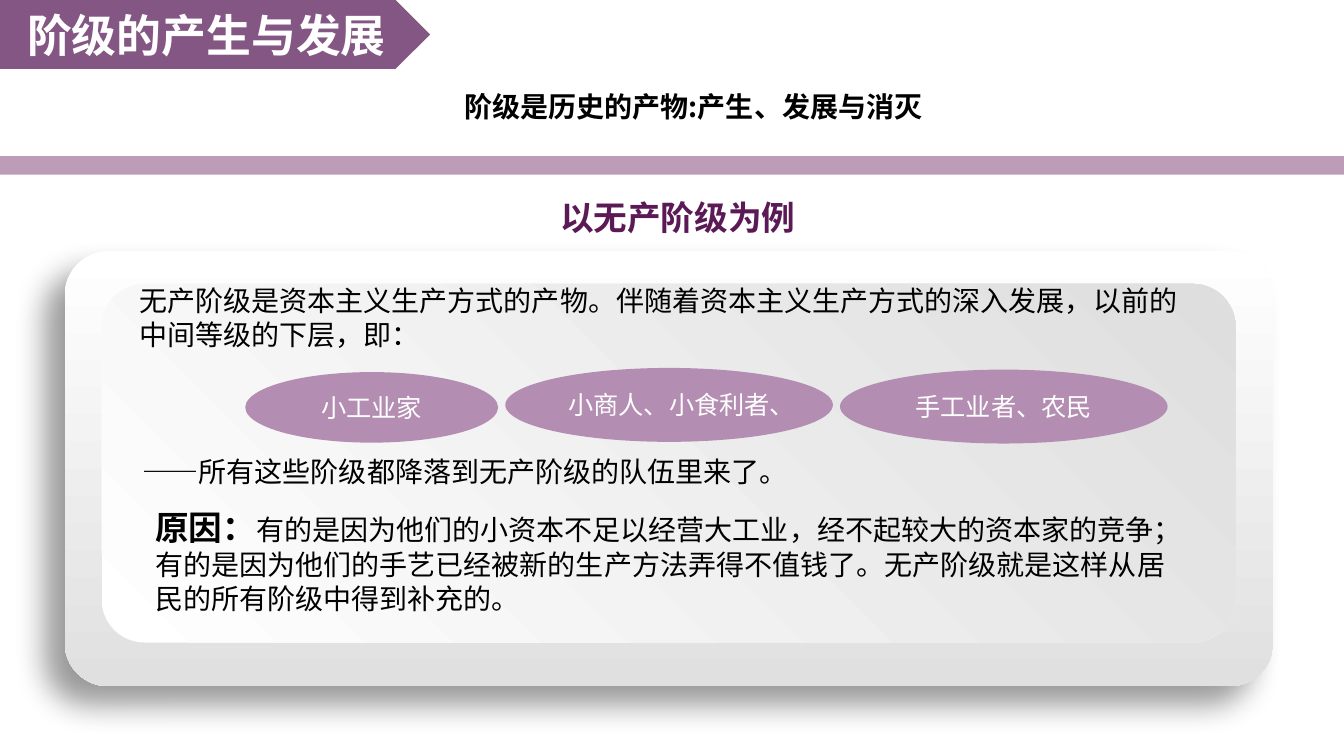
from dataclasses import dataclass

from lxml import etree
from pptx import Presentation
from pptx import util as u
from pptx.dml.color import RGBColor
from pptx.enum import shapes, text
from pptx.oxml.ns import qn


@dataclass(frozen=True)
class Theme:
    font: str = "Noto Sans CJK SC"
    ink: str = "000000"
    paper: str = "FFFFFF"
    plum: str = "5B1A56"
    banner: str = "5A1B58"
    rule: str = "6A1F5F"
    lilac: str = "B48EB2"
    outer_grey: str = "E0E0E0"
    inner_grey: str = "DDDEDD"
    title: int = 32
    heading: int = 24
    body: int = 20
    label: int = 18


class SlideBuilder:
    """Draws themed elements on one slide, placed on a grid of 160 columns by 90 rows."""

    def __init__(self, deck, theme):
        self.theme = theme
        self.slide = deck.slides.add_slide(deck.slide_layouts[5])
        self.column = deck.slide_width / 160
        self.row = deck.slide_height / 90

    def box(self, left, top, width, height):
        return [u.Emu(round(span * unit)) for span, unit in
                zip((left, top, width, height), (self.column, self.row) * 2)]

    def fill_text(self, frame, runs, align=text.PP_ALIGN.LEFT, **frame_format):
        for name, value in {"word_wrap": True, **frame_format}.items():
            setattr(frame, name, value)
        paragraph = frame.paragraphs[0]
        paragraph.alignment = align
        for words, size, color, bold in runs:
            run = paragraph.add_run()
            run.text = words
            font_format = {"name": self.theme.font, "size": u.Pt(size), "bold": bold}
            for name, value in font_format.items():
                setattr(run.font, name, value)
            run.font.color.rgb = RGBColor.from_string(color)
            etree.SubElement(run.font._element, qn("a:ea"), typeface=self.theme.font)

    def passage(self, place, *runs):
        frame = self.slide.shapes.add_textbox(*self.box(*place)).text_frame
        self.fill_text(frame, runs, auto_size=text.MSO_AUTO_SIZE.SHAPE_TO_FIT_TEXT)

    def plain(self, kind, place, parent=None):
        holder = parent or self.slide
        shape = holder.shapes.add_shape(kind, *self.box(*place))
        shape.shadow.inherit = False
        shape.line.fill.background()
        return shape

    def solid(self, kind, place, color, opacity=100):
        shape = self.plain(kind, place)
        shape.fill.solid()
        shape.fill.fore_color.rgb = RGBColor.from_string(color)
        if opacity < 100:
            tint = shape.element.spPr.find(".//" + qn("a:srgbClr"))
            etree.SubElement(tint, qn("a:alpha"), val=str(opacity * 1000))
        return shape

    def panel(self, group, place, corner, end_color, angle):
        shape = self.plain(shapes.MSO_SHAPE.ROUNDED_RECTANGLE, place, group)
        shape.adjustments[0] = corner
        shape.fill.gradient()
        shape.fill.gradient_angle = angle
        for stop, color in zip(shape.fill.gradient_stops, (self.theme.paper, end_color)):
            stop.color.rgb = RGBColor.from_string(color)
        return shape

    def cast_shadow(self, shape, blur, distance, direction, opacity):
        effects = shape.element.spPr.find(qn("a:effectLst"))
        shadow = etree.SubElement(
            effects, qn("a:outerShdw"), blurRad=str(int(u.Pt(blur))),
            dist=str(int(u.Pt(distance))), dir=str(direction * 60000),
            algn="ctr", rotWithShape="0")
        color = etree.SubElement(shadow, qn("a:srgbClr"), val=self.theme.ink)
        etree.SubElement(color, qn("a:alpha"), val=str(opacity * 1000))

    def title(self, place, words):
        heading = self.slide.shapes.title
        heading.element.getparent().append(heading.element)
        for name, value in zip(("left", "top", "width", "height"), self.box(*place)):
            setattr(heading, name, value)
        self.fill_text(heading.text_frame, [(words, self.theme.title, self.theme.paper, True)],
                       text.PP_ALIGN.CENTER, vertical_anchor=text.MSO_ANCHOR.MIDDLE,
                       auto_size=text.MSO_AUTO_SIZE.NONE)

    def oval(self, place, words):
        shape = self.solid(shapes.MSO_SHAPE.OVAL, place, self.theme.lilac)
        self.fill_text(shape.text_frame, [(words, self.theme.label, self.theme.paper, False)],
                       text.PP_ALIGN.CENTER, vertical_anchor=text.MSO_ANCHOR.MIDDLE)


def main():
    deck = Presentation()
    deck.slide_width, deck.slide_height = u.Inches(13.33), u.Inches(7.5)
    theme = Theme()
    page = SlideBuilder(deck, theme)

    page.passage((65.5, 22.8, 34.6, 6), ("以无产阶级为例", theme.heading, theme.plum, True))

    panels = page.slide.shapes.add_group_shape()
    outer = page.panel(panels, (7.7, 29.9, 143.9, 51.8), 0.1, theme.outer_grey, 270)
    page.cast_shadow(outer, blur=22, distance=20, direction=135, opacity=40)
    page.panel(panels, (12.1, 33.8, 135, 42.7), 0.12, theme.inner_grey, 45)

    page.passage((15.4, 33.2, 127.3, 9.2), (
        "无产阶级是资本主义生产方式的产物。伴随着资本主义生产方式的深入发展，"
        "以前的中间等级的下层，即：", theme.body, theme.ink, False))
    page.passage((15.8, 53.5, 77, 5.3), (
        "——所有这些阶级都降落到无产阶级的队伍里来了。", theme.body, theme.ink, False))

    page.solid(shapes.MSO_SHAPE.PENTAGON, (0, 0, 51.2, 8.2), theme.banner, 74)
    page.title((0, 0, 49.2, 8.2), "阶级的产生与发展")
    page.solid(shapes.MSO_SHAPE.RECTANGLE, (0, 18.6, 160, 2.2), theme.rule, 44)
    page.passage((54.1, 10.1, 57.5, 5.3), (
        "阶级是历史的产物:产生、发展与消灭", theme.body, theme.ink, True))

    left, gap = 29.2, 0.85
    for stratum, top, width, height in (
            ("小工业家", 44.3, 30.1, 8.4),
            ("小商人、小食利者、", 43.8, 39, 8.8),
            ("手工业者、农民", 44, 39, 8.8)):
        page.oval((left, top, width, height), stratum)
        left += width + gap

    page.passage((17.3, 59.8, 125.5, 14.2), ("原因：", theme.heading, theme.ink, True), (
        "有的是因为他们的小资本不足以经营大工业，经不起较大的资本家的竞争；"
        "有的是因为他们的手艺已经被新的生产方法弄得不值钱了。"
        "无产阶级就是这样从居民的所有阶级中得到补充的。", theme.body, theme.ink, False))

    deck.save("out.pptx")


if __name__ == "__main__":
    main()
